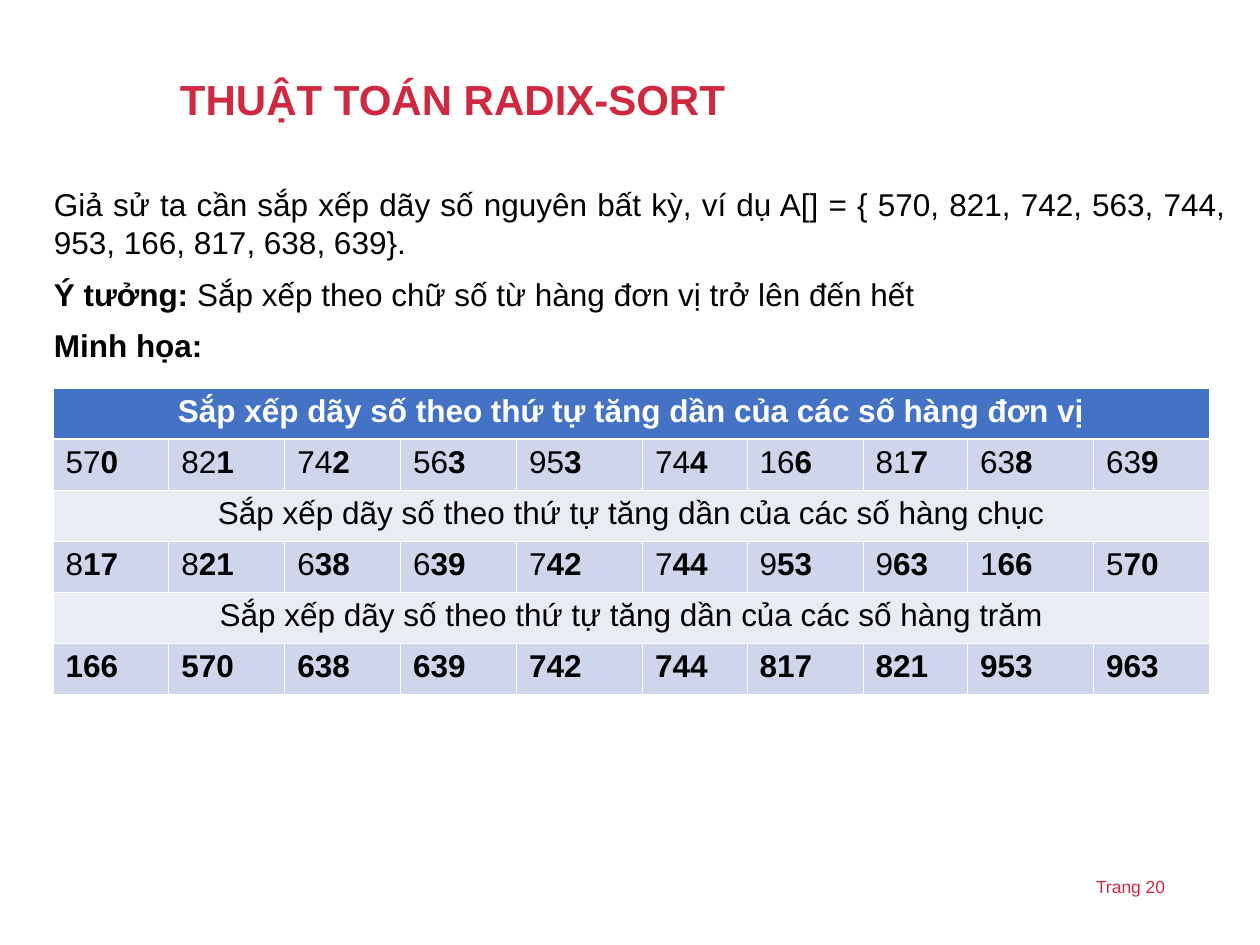
from lxml import etree
from pptx import Presentation
from pptx.dml.color import RGBColor
from pptx.enum.text import MSO_ANCHOR, PP_ALIGN
from pptx.oxml.ns import qn
from pptx.util import Inches, Pt

LEFT, CENTER, JUSTIFY = PP_ALIGN.LEFT, PP_ALIGN.CENTER, PP_ALIGN.JUSTIFY
TOP, MIDDLE = MSO_ANCHOR.TOP, MSO_ANCHOR.MIDDLE

FONT = "Arial"
RED, BLACK, WHITE = "CF2941", "000000", "FFFFFF"
HEADER_FILL, NUMBER_FILL, CAPTION_FILL = "4472C4", "CFD5EA", "E9EBF5"

INTRODUCTION = [
    [("Giả sử ta cần sắp xếp dãy số nguyên bất kỳ, ví dụ A[] = "
      "{ 570, 821, 742, 563, 744, 953, 166, 817, 638, 639}.", False)],
    [("Ý tưởng: ", True),
     ("Sắp xếp theo chữ số từ hàng đơn vị trở lên đến hết", False)],
    [("Minh họa:", True)],
]

# Each pass: the digit's name and the numbers after sorting by that digit
PASSES = [
    ("đơn vị", "570 821 742 563 953 744 166 817 638 639"),
    ("chục", "817 821 638 639 742 744 953 963 166 570"),
    ("trăm", "166 570 638 639 742 744 817 821 953 963"),
]
COLUMN_WIDTHS = [0.92, 0.92, 0.92, 0.92, 1, 0.83, 0.92, 0.83, 1, 0.92]
TABLE_HEIGHT = 2.43
THIN, THICK = 0.45, 1.47


def color(value):
    return RGBColor.from_string(value)


def write_paragraph(paragraph, runs, size, font_color, **paragraph_format):
    for name, value in paragraph_format.items():
        setattr(paragraph, name, value)
    for text, bold in runs:
        run = paragraph.add_run()
        run.text = text
        font_format = {"name": FONT, "size": Pt(size), "bold": bold}
        for name, value in font_format.items():
            setattr(run.font, name, value)
        run.font.color.rgb = color(font_color)


def add_text(slide, box, paragraphs, size, font_color, anchor=TOP,
             **paragraph_format):
    shape = slide.shapes.add_textbox(*map(Inches, box))
    frame = shape.text_frame
    frame.word_wrap = True
    frame.vertical_anchor = anchor
    for index, runs in enumerate(paragraphs):
        paragraph = frame.add_paragraph() if index else frame.paragraphs[0]
        write_paragraph(paragraph, runs, size, font_color, **paragraph_format)


def style_cell(cell, fill_color, top, bottom):
    properties = cell._tc.get_or_add_tcPr()
    widths = {"a:lnL": THIN, "a:lnR": THIN, "a:lnT": top, "a:lnB": bottom}
    for tag, width in widths.items():
        line = etree.SubElement(properties, qn(tag), w=str(Pt(width)))
        fill = etree.SubElement(line, qn("a:solidFill"))
        etree.SubElement(fill, qn("a:srgbClr"), val=WHITE)
    cell.fill.solid()
    cell.fill.fore_color.rgb = color(fill_color)


def add_pass_table(slide, left, top):
    row_count = 2 * len(PASSES)
    table = slide.shapes.add_table(
        row_count, len(COLUMN_WIDTHS), Inches(left), Inches(top),
        Inches(sum(COLUMN_WIDTHS)), Inches(TABLE_HEIGHT)).table
    for column, width in zip(table.columns, COLUMN_WIDTHS):
        column.width = Inches(width)

    # Caption rows alternate with number rows; the first caption is the header
    for row in range(row_count):
        fill = NUMBER_FILL if row % 2 else CAPTION_FILL
        for cell in table.rows[row].cells:
            style_cell(cell, fill if row else HEADER_FILL,
                       THICK if row == 1 else THIN,
                       THICK if row == 0 else THIN)

    for index, (digit, numbers) in enumerate(PASSES):
        # Caption across all columns
        row = 2 * index
        caption = table.cell(row, 0)
        caption.merge(table.cell(row, len(COLUMN_WIDTHS) - 1))
        text = f"Sắp xếp dãy số theo thứ tự tăng dần của các số hàng {digit}"
        write_paragraph(caption.text_frame.paragraphs[0],
                        [(text, index == 0)], 18,
                        BLACK if index else WHITE, alignment=CENTER)

        # The digits sorted so far are bold
        for column, number in enumerate(numbers.split()):
            split = len(number) - 1 - index
            runs = [(number[:split], False), (number[split:], True)]
            cell = table.cell(row + 1, column)
            write_paragraph(cell.text_frame.paragraphs[0],
                            [run for run in runs if run[0]], 18, BLACK,
                            alignment=LEFT)


def main():
    presentation = Presentation()
    presentation.slide_width = Inches(10)
    presentation.slide_height = Inches(7.5)
    slide = presentation.slides.add_slide(presentation.slide_layouts[6])

    # Page number
    add_text(slide, (8.6, 6.9, 1.21, 0.27), [[("Trang 20", False)]], 10, RED)
    # Introduction
    add_text(slide, (0.33, 1.42, 9.5, 1.52), INTRODUCTION, 18, BLACK,
             alignment=JUSTIFY, space_before=Pt(7.9))
    # Sorting passes
    add_pass_table(slide, 0.42, 3.08)
    # Title
    add_text(slide, (1.33, 0.4, 7.98, 0.82),
             [[("THUẬT TOÁN RADIX-SORT", True)]], 24, RED, anchor=MIDDLE,
             line_spacing=0.9)

    presentation.save("out.pptx")


if __name__ == "__main__":
    main()
